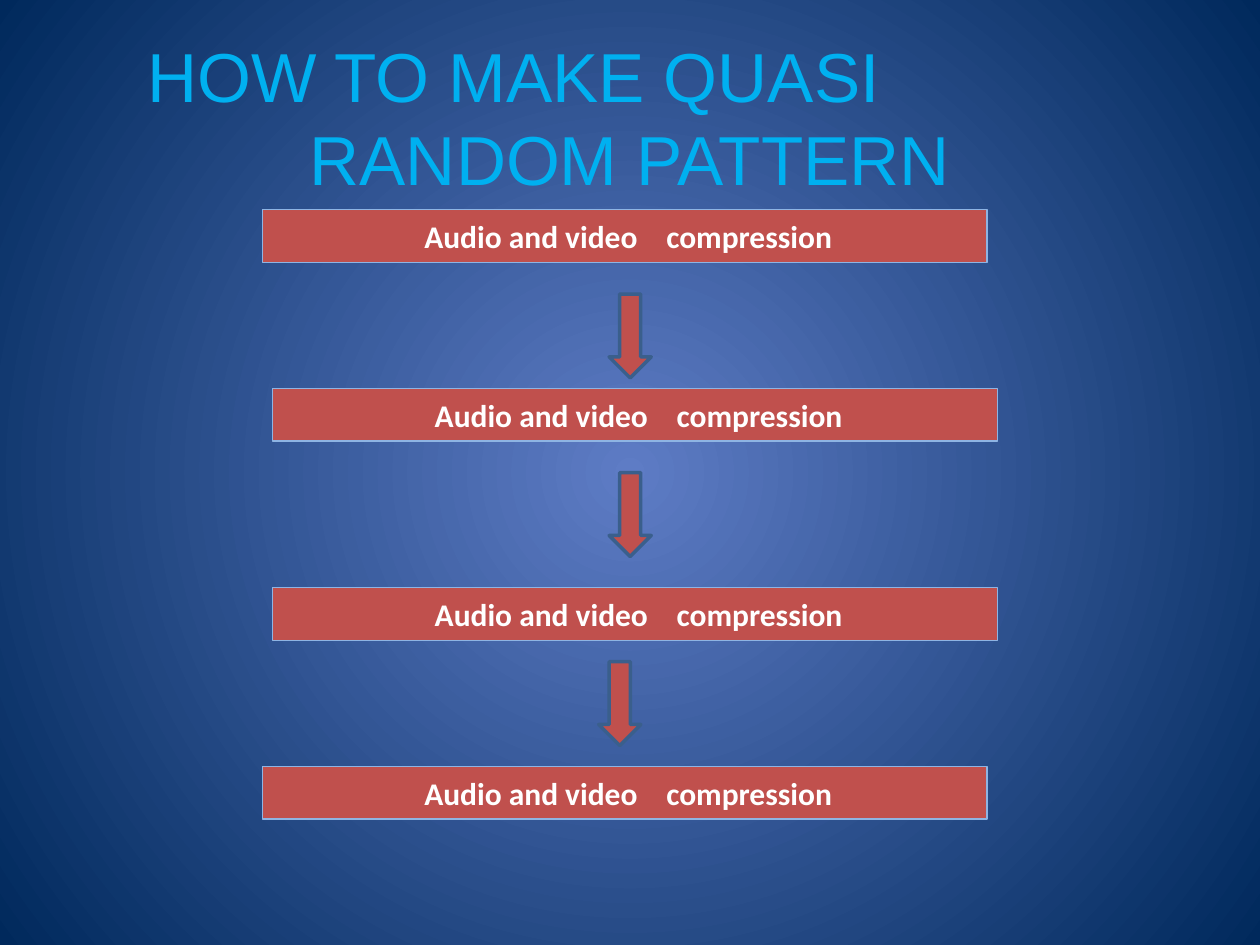
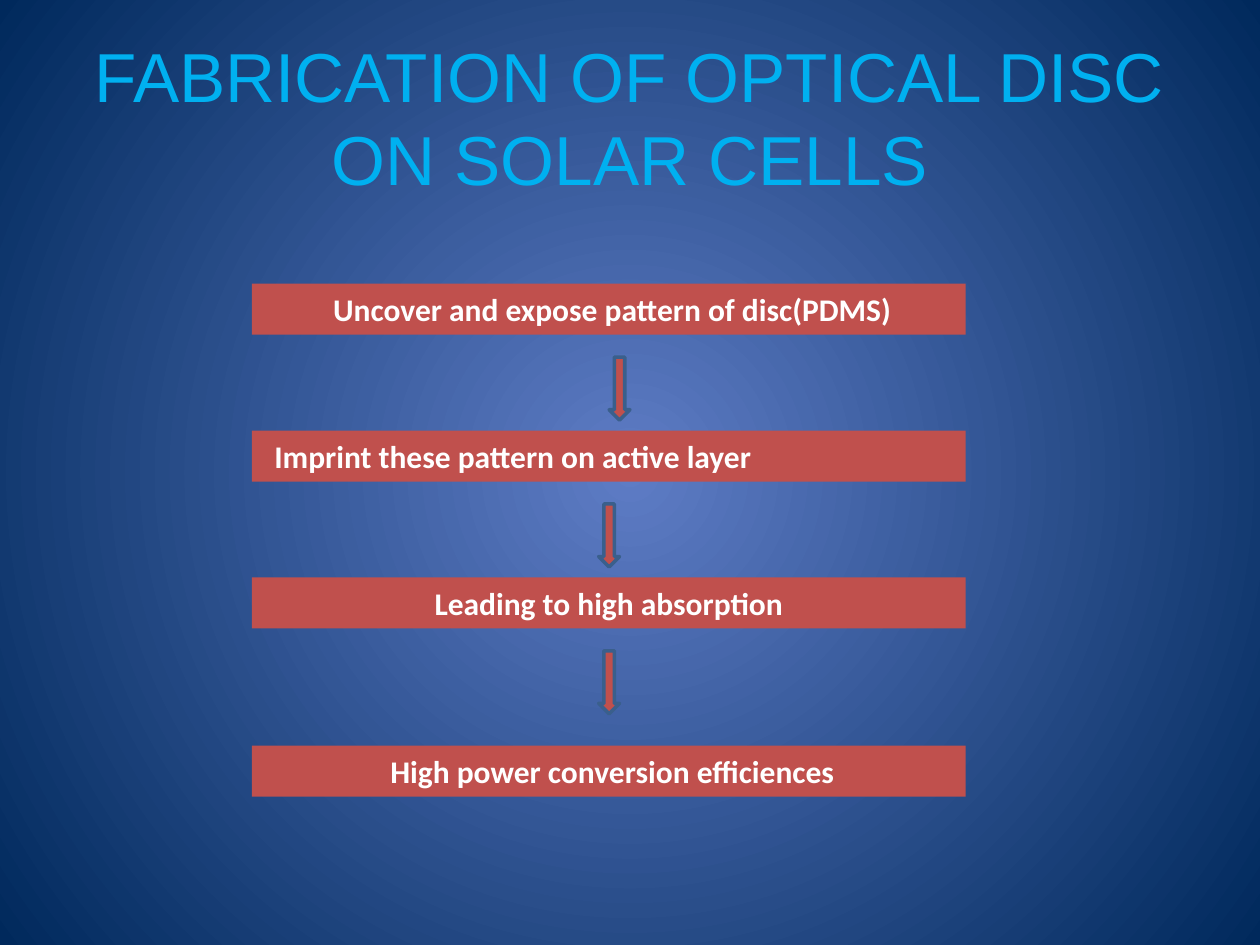
from dataclasses import dataclass
from typing import NamedTuple, Optional

import pptx
import pptx.dml.color
import pptx.enum.shapes
import pptx.enum.text
import pptx.oxml
import pptx.oxml.ns
import pptx.slide
import pptx.util

Cm, Pt = pptx.util.Cm, pptx.util.Pt
RGB = pptx.dml.color.RGBColor.from_string
ALIGN = pptx.enum.text.PP_ALIGN
SHAPE = pptx.enum.shapes.MSO_SHAPE


@dataclass(frozen=True)
class Theme:
    glow: str = "5E7CC5"
    edge: str = "00295C"
    title: str = "00B0F0"
    step: str = "C0504D"
    step_line: str = "8EB4E3"
    arrow_line: str = "3A5F8C"
    text: str = "FFFFFF"
    title_font: str = "Arial"
    step_font: str = "Calibri"
    title_size: float = 39.6
    title_leading: float = 47.4
    step_size: float = 18


THEME = Theme()


# Lengths in the records below are centimetres
class Step(NamedTuple):
    left: float
    top: float
    words: tuple[str, ...]  # pieces are set apart by a wide space
    indent: float = 0.14
    align: ALIGN = ALIGN.CENTER


class Arrow(NamedTuple):
    left: float
    top: float


class TitleLine(NamedTuple):
    text: str
    indent: Optional[float] = None  # None centres the line


class Flow(NamedTuple):
    title: tuple[TitleLine, ...]
    step_size: tuple[float, float]
    arrow_size: tuple[float, float]
    outlined: bool
    steps: tuple[Step, ...]
    arrows: tuple[Arrow, ...]


COMPRESSION = ("Audio and video", "compression")

FLOWS = (
    Flow(
        title=(TitleLine("HOW TO MAKE QUASI", 1.45), TitleLine("RANDOM PATTERN")),
        step_size=(14.61, 1.06),
        arrow_size=(0.85, 1.69),
        outlined=True,
        steps=tuple(Step(left, top, COMPRESSION) for left, top in
                    ((5.29, 4.23), (5.5, 7.83), (5.5, 11.85), (5.29, 15.45))),
        arrows=(Arrow(12.28, 5.93), Arrow(12.28, 9.53), Arrow(12.07, 13.34)),
    ),
    Flow(
        title=(TitleLine("FABRICATION OF OPTICAL DISC ON SOLAR CELLS"),),
        step_size=(14.39, 1.03),
        arrow_size=(0.42, 1.27),
        outlined=False,
        steps=(
            Step(5.08, 5.72, ("Uncover and expose pattern of disc(PDMS)",)),
            Step(5.08, 8.68, ("Imprint these pattern on active layer",), 0.2, ALIGN.LEFT),
            Step(5.08, 11.64, ("Leading to high absorption",), indent=0),
            Step(5.08, 15.03, ("High power conversion efficiences",)),
        ),
        arrows=(Arrow(12.28, 7.2), Arrow(12.07, 10.16), Arrow(12.07, 13.12)),
    ),
)


def set_background(s: pptx.slide.Slide) -> None:
    """Radial gradient from a light centre to dark corners."""
    fill = s.background.fill
    fill.gradient()
    for stop, colour in zip(fill.gradient_stops, (THEME.glow, THEME.edge)):
        stop.color.rgb = RGB(colour)
    qn = pptx.oxml.ns.qn
    grad = s.element.find(".//" + qn("a:gradFill"))
    grad.replace(grad.find(qn("a:lin")), pptx.oxml.parse_xml(
        f'<a:path {pptx.oxml.ns.nsdecls("a")} path="circle">'
        '<a:fillToRect l="50000" t="50000" r="50000" b="50000"/></a:path>'))


def add_run(p, text: str, font: str, size: float, colour: str, bold: bool = False):
    r = p.add_run()
    r.text = text
    r.font.name, r.font.size, r.font.bold = font, Pt(size), bold
    r.font.color.rgb = RGB(colour)
    return r


def set_indent(p, indent: float) -> None:
    p._p.get_or_add_pPr().set("marL", str(int(Cm(indent))))


def add_title(s: pptx.slide.Slide, lines: tuple[TitleLine, ...]) -> None:
    tf = s.shapes.add_textbox(Cm(1.27), Cm(0.76), Cm(22.86), Cm(3.18)).text_frame
    tf.word_wrap = True
    tf.vertical_anchor = pptx.enum.text.MSO_ANCHOR.MIDDLE
    for i, line in enumerate(lines):
        p = tf.add_paragraph() if i else tf.paragraphs[0]
        p.alignment = ALIGN.CENTER if line.indent is None else ALIGN.LEFT
        p.line_spacing = Pt(THEME.title_leading)
        set_indent(p, line.indent or 0)
        add_run(p, line.text, THEME.title_font, THEME.title_size, THEME.title)


def add_block(s: pptx.slide.Slide, kind: SHAPE, left: float, top: float,
              size: tuple[float, float], line: Optional[str], width: float = 0):
    sp = s.shapes.add_shape(kind, Cm(left), Cm(top), *map(Cm, size))
    sp.shadow.inherit = False
    sp.fill.solid()
    sp.fill.fore_color.rgb = RGB(THEME.step)
    if line:
        sp.line.color.rgb = RGB(line)
        sp.line.width = Pt(width)
    else:
        sp.line.fill.background()
    return sp


def add_step(s: pptx.slide.Slide, step: Step, flow: Flow) -> None:
    line = THEME.step_line if flow.outlined else None
    sp = add_block(s, SHAPE.RECTANGLE, step.left, step.top, flow.step_size, line, 0.75)
    tf = sp.text_frame
    tf.word_wrap = True
    tf.auto_size = pptx.enum.text.MSO_AUTO_SIZE.SHAPE_TO_FIT_TEXT
    p = tf.paragraphs[0]
    p.alignment = step.align
    set_indent(p, step.indent)
    style = (THEME.step_font, THEME.step_size, THEME.text, True)
    for i, words in enumerate(step.words):
        if i:
            gap = add_run(p, " ", *style)
            gap.font._element.set("spc", "1220")
        add_run(p, words, *style)


def add_flow(prs, flow: Flow) -> None:
    s = prs.slides.add_slide(prs.slide_layouts[6])
    set_background(s)
    add_title(s, flow.title)
    for step in flow.steps:
        add_step(s, step, flow)
    for arrow in flow.arrows:
        add_block(s, SHAPE.DOWN_ARROW, arrow.left, arrow.top, flow.arrow_size,
                  THEME.arrow_line, 2)


def main() -> None:
    prs = pptx.Presentation()
    prs.slide_width, prs.slide_height = Cm(25.4), Cm(19.05)
    for flow in FLOWS:
        add_flow(prs, flow)
    prs.save("out.pptx")


if __name__ == "__main__":
    main()
